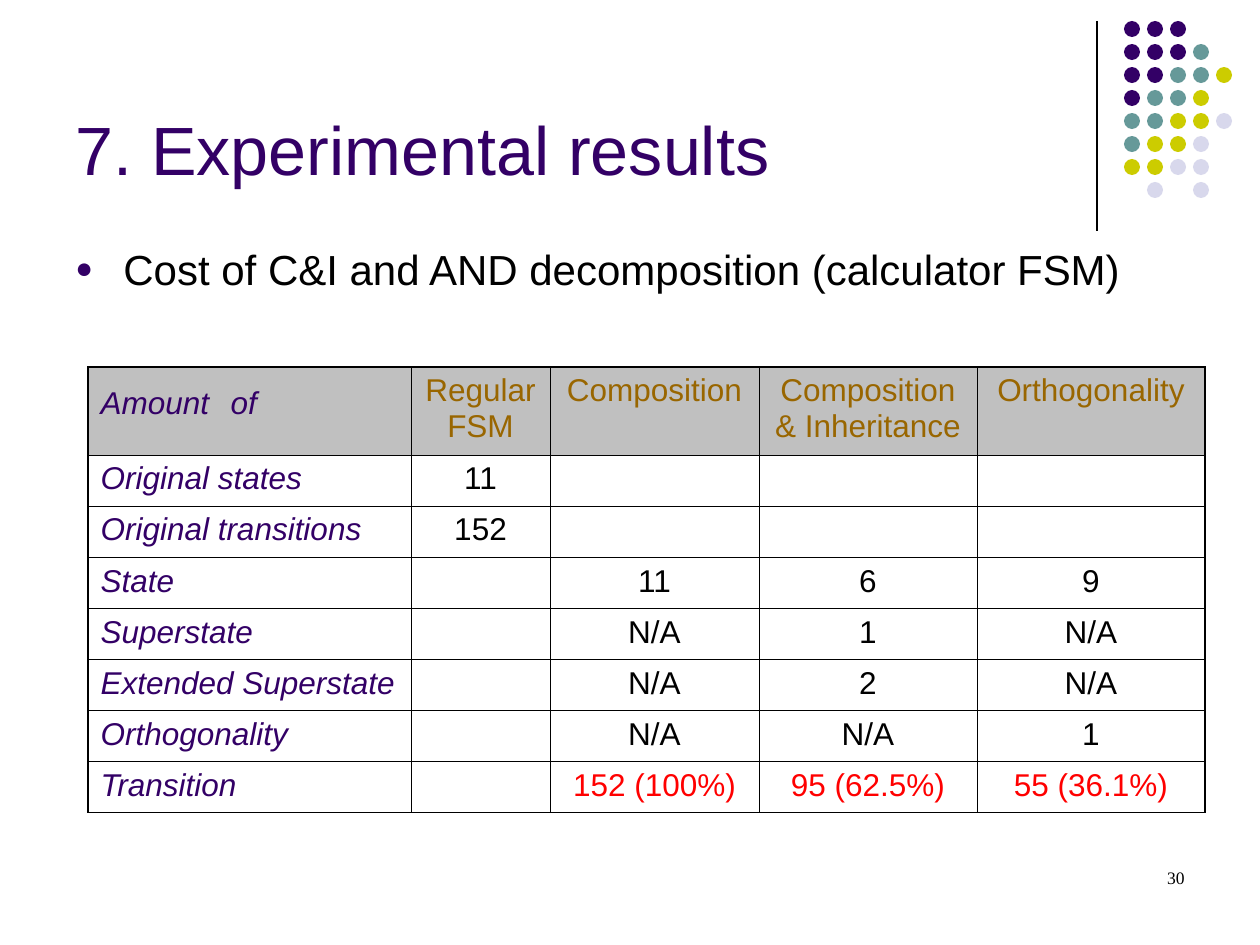
from lxml import etree
from pptx import Presentation
from pptx.dml.color import RGBColor
from pptx.enum.shapes import MSO_CONNECTOR, MSO_SHAPE
from pptx.enum.text import MSO_ANCHOR, PP_ALIGN
from pptx.oxml.ns import qn
from pptx.util import Pt

EMU_PER_PX = 914400 / 126
STRAIGHT, OVAL = MSO_CONNECTOR.STRAIGHT, MSO_SHAPE.OVAL
LEFT, CENTER, RIGHT = PP_ALIGN.LEFT, PP_ALIGN.CENTER, PP_ALIGN.RIGHT
TOP, BOTTOM = MSO_ANCHOR.TOP, MSO_ANCHOR.BOTTOM

BLACK = RGBColor(0x00, 0x00, 0x00)
PURPLE = RGBColor(0x33, 0x00, 0x66)
TEAL = RGBColor(0x66, 0x99, 0x99)
LIME = RGBColor(0xCC, 0xCC, 0x00)
LAVENDER = RGBColor(0xD8, 0xD8, 0xEC)
BROWN = RGBColor(0x99, 0x66, 0x00)
RED = RGBColor(0xFF, 0x00, 0x00)
GREY = RGBColor(0xC0, 0xC0, 0xC0)

DOT_COLORS = {"P": PURPLE, "T": TEAL, "L": LIME, "V": LAVENDER}
DOT_ROWS = ["PPP", "PPPT", "PPTTL", "PTTL", "TTLLV", "TLLV", "LLVV", ".V.V"]
DOT_LEFT, DOT_TOP, DOT_PITCH, DOT_SIZE = 1124, 21, 23, 16

COLUMN_WIDTHS = [323, 139, 209, 218, 228]
HEADER_HEIGHT, ROW_HEIGHT = 88, 51
INNER_BORDER, OUTER_BORDER = Pt(0.45), Pt(1.08)
RESULTS = [
    ["Amount of", "Regular FSM", "Composition", "Composition & Inheritance",
     "Orthogonality"],
    ["Original states", "11", "", "", ""],
    ["Original transitions", "152", "", "", ""],
    ["State", "", "11", "6", "9"],
    ["Superstate", "", "N/A", "1", "N/A"],
    ["Extended Superstate", "", "N/A", "2", "N/A"],
    ["Orthogonality", "", "N/A", "N/A", "1"],
    ["Transition", "", "152 (100%)", "95 (62.5%)", "55 (36.1%)"],
]


def px(length):
    return round(length * EMU_PER_PX)


def add_run(paragraph, text, size, color, font="Arial", italic=False):
    run = paragraph.add_run()
    run.text = text
    run.font.name = font
    run.font.size = Pt(size)
    run.font.italic = italic
    run.font.color.rgb = color
    return run


def add_text_frame(slide, left, top, width, height, anchor=TOP):
    box = slide.shapes.add_textbox(px(left), px(top), px(width), px(height))
    frame = box.text_frame
    frame.word_wrap = True
    frame.vertical_anchor = anchor
    return frame


def add_bullet(paragraph, indent, color):
    properties = paragraph._p.get_or_add_pPr()
    properties.set("marL", str(px(indent)))
    properties.set("indent", str(-px(indent)))
    bullet_color = etree.SubElement(properties, qn("a:buClr"))
    etree.SubElement(bullet_color, qn("a:srgbClr"), val=str(color))
    etree.SubElement(properties, qn("a:buSzPct"), val="70000")
    etree.SubElement(properties, qn("a:buFont"), typeface="Arial")
    etree.SubElement(properties, qn("a:buChar"), char="●")


def add_divider(slide):
    divider = slide.shapes.add_connector(
        STRAIGHT, px(1097), px(21), px(1097), px(231))
    divider.line.color.rgb = BLACK
    divider.line.width = Pt(0.75)
    etree.SubElement(divider._element.spPr, qn("a:effectLst"))


def add_dots(slide):
    for row, codes in enumerate(DOT_ROWS):
        for column, code in enumerate(codes):
            if code not in DOT_COLORS:
                continue
            dot = slide.shapes.add_shape(
                OVAL, px(DOT_LEFT + column * DOT_PITCH),
                px(DOT_TOP + row * DOT_PITCH), px(DOT_SIZE), px(DOT_SIZE))
            dot.shadow.inherit = False
            dot.fill.solid()
            dot.fill.fore_color.rgb = DOT_COLORS[code]
            dot.line.fill.background()


def set_borders(cell, row, column):
    outer_edges = {
        "a:lnL": column == 0,
        "a:lnR": column == len(COLUMN_WIDTHS) - 1,
        "a:lnT": row == 0,
        "a:lnB": row == len(RESULTS) - 1,
    }
    properties = cell._tc.get_or_add_tcPr()
    for position, (edge, is_outer) in enumerate(outer_edges.items()):
        width = OUTER_BORDER if is_outer else INNER_BORDER
        border = etree.Element(qn(edge), w=str(width))
        fill = etree.SubElement(border, qn("a:solidFill"))
        etree.SubElement(fill, qn("a:srgbClr"), val=str(BLACK))
        properties.insert(position, border)


def result_color(row, column):
    if column == 0:
        return PURPLE
    if row == 0:
        return BROWN
    return RED if row == len(RESULTS) - 1 else BLACK


def add_corner_label(paragraph):
    add_run(paragraph, "Amount", 18, PURPLE, italic=True)
    gap = add_run(paragraph, " ", 26, BLACK)
    gap.font._element.set("spc", "500")
    add_run(paragraph, "of", 18, PURPLE, italic=True)


def fill_cell(cell, text, row, column):
    if row == 0:
        cell.fill.solid()
        cell.fill.fore_color.rgb = GREY
    else:
        cell.fill.background()
    set_borders(cell, row, column)
    paragraph = cell.text_frame.paragraphs[0]
    paragraph.alignment = CENTER if column else LEFT
    if row == column == 0:
        add_corner_label(paragraph)
    elif text:
        add_run(paragraph, text, 18, result_color(row, column),
                italic=column == 0)


def add_results_table(slide):
    row_heights = [HEADER_HEIGHT] + [ROW_HEIGHT] * (len(RESULTS) - 1)
    table = slide.shapes.add_table(
        len(RESULTS), len(COLUMN_WIDTHS), px(88), px(367),
        px(sum(COLUMN_WIDTHS)), px(sum(row_heights))).table
    table.first_row = table.horz_banding = False
    for column, width in zip(table.columns, COLUMN_WIDTHS):
        column.width = px(width)
    for row, height in zip(table.rows, row_heights):
        row.height = px(height)
    for row, values in enumerate(RESULTS):
        for column, text in enumerate(values):
            fill_cell(table.cell(row, column), text, row, column)


def main():
    deck = Presentation()
    deck.slide_width, deck.slide_height = px(1260), px(945)
    slide = deck.slides.add_slide(deck.slide_layouts[6])

    add_divider(slide)
    add_dots(slide)
    add_results_table(slide)

    title = add_text_frame(slide, 63, 16, 1040, 179, BOTTOM).paragraphs[0]
    add_run(title, "7. Experimental results", 39, PURPLE)

    topic = add_text_frame(slide, 63, 237, 1134, 607).paragraphs[0]
    add_bullet(topic, 48, PURPLE)
    add_run(topic, "Cost of C&I and AND decomposition (calculator FSM)",
            24, BLACK)

    page_number = add_text_frame(slide, 903, 861, 294, 63).paragraphs[0]
    page_number.alignment = RIGHT
    add_run(page_number, "30", 10, BLACK, "Times New Roman")

    deck.save("out.pptx")


if __name__ == "__main__":
    main()
